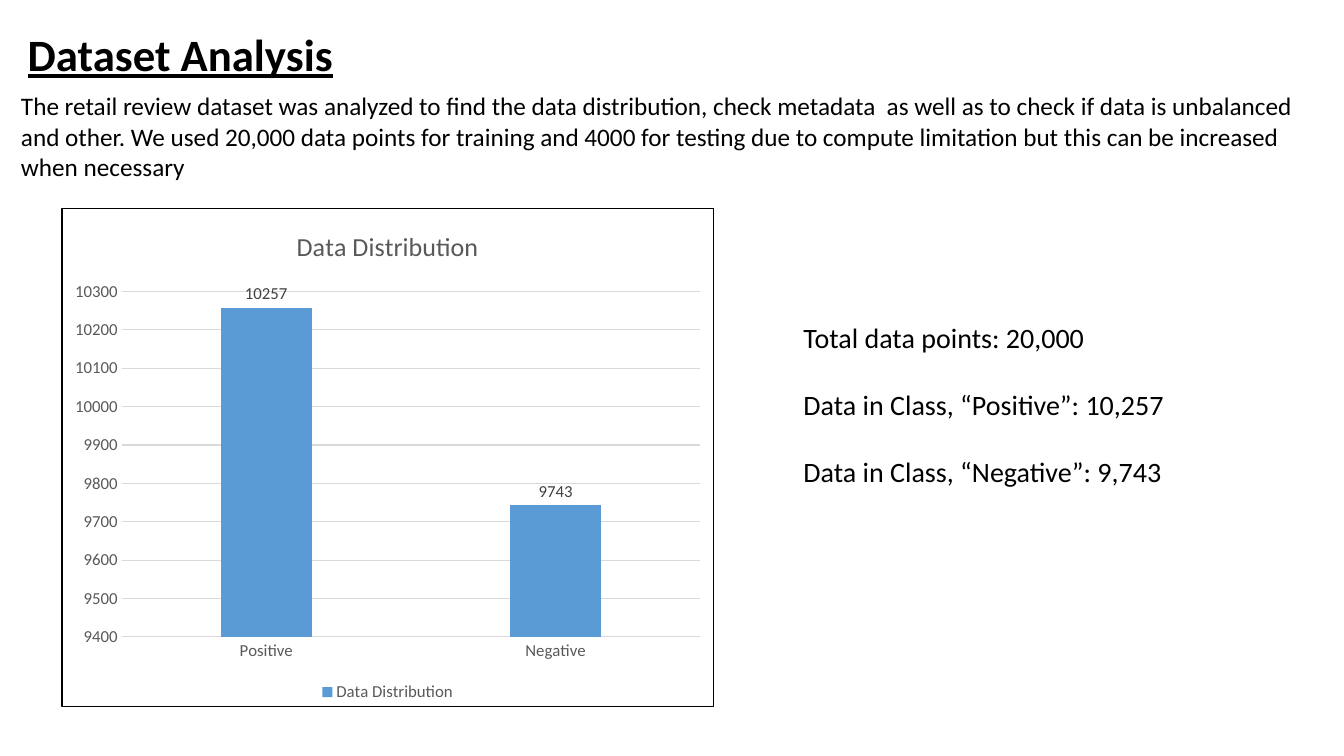
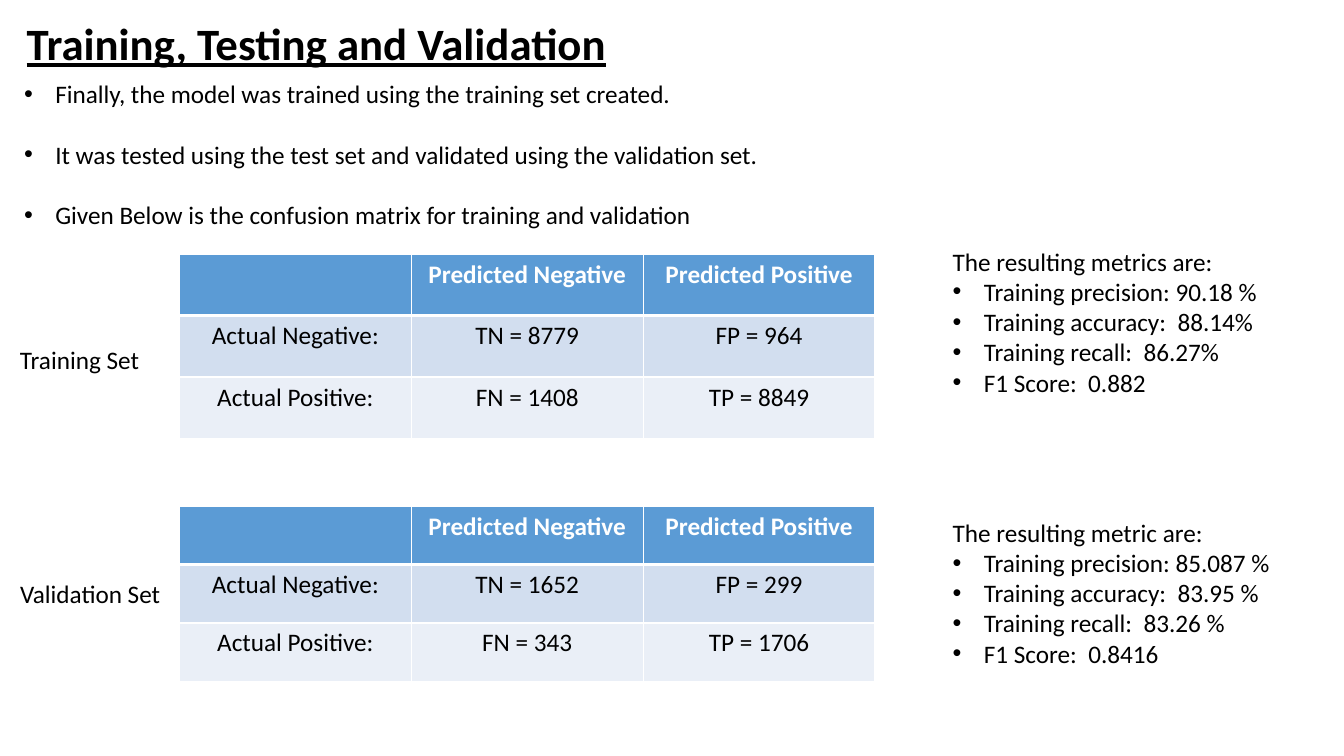
from lxml import etree
from pptx import Presentation
from pptx.chart.data import CategoryChartData
from pptx.dml.color import RGBColor
from pptx.enum.chart import XL_CHART_TYPE, XL_LABEL_POSITION, XL_LEGEND_POSITION, XL_TICK_MARK
from pptx.enum.text import MSO_ANCHOR, PP_ALIGN
from pptx.oxml import parse_xml
from pptx.oxml.ns import nsdecls, qn
from pptx.util import Inches, Pt

BLACK = RGBColor(0x00, 0x00, 0x00)
WHITE = RGBColor(0xFF, 0xFF, 0xFF)
BLUE = RGBColor(0x5B, 0x9B, 0xD5)
BAND_DARK = RGBColor(0xD2, 0xDE, 0xEF)
BAND_LIGHT = RGBColor(0xEA, 0xEF, 0xF7)
GRID_GREY = RGBColor(0xD9, 0xD9, 0xD9)
TEXT_GREY = RGBColor(0x59, 0x59, 0x59)
LABEL_GREY = RGBColor(0x40, 0x40, 0x40)

FONT = "Calibri"
BULLET_INDENT = Inches(0.31)
COLUMN_WIDTH = 2.3

INTRO = (
    "The retail review dataset was analyzed to find the data distribution, check metadata  "
    "as well as to check if data is unbalanced and other. We used 20,000 data points for "
    "training and 4000 for testing due to compute limitation but this can be increased "
    "when necessary"
)
DISTRIBUTION = {"Positive": 10257, "Negative": 9743}
TOTALS = [
    "Total data points: 20,000",
    "Data in Class, “Positive”: 10,257",
    "Data in Class, “Negative”: 9,743",
]
STEPS = [
    "Finally, the model was trained using the training set created.",
    "It was tested using the test set and validated using the validation set.",
    "Given Below is the confusion matrix for training and validation",
]
MATRIX_HEADER = ["", "Predicted Negative", "Predicted Positive"]
EVALUATIONS = [
    {
        "label": "Training Set",
        "label_box": (0.1, 3.37, 1.4, 0.4),
        "matrix": [
            ["Actual Negative:", "TN = 8779", "FP = 964"],
            ["Actual Positive:", "FN = 1408", "TP = 8849"],
        ],
        "matrix_top": 2.52,
        "row_height": 0.61,
        "heading": "The resulting metrics are:",
        "metrics": [
            "Training precision: 90.18 %",
            "Training accuracy:  88.14%",
            "Training recall:  86.27%",
            "F1 Score:  0.882",
        ],
        "metrics_box": (9.35, 2.39, 3.26, 1.62),
    },
    {
        "label": "Validation Set",
        "label_box": (0.1, 5.69, 1.61, 0.4),
        "matrix": [
            ["Actual Negative:", "TN = 1652", "FP = 299"],
            ["Actual Positive:", "FN = 343", "TP = 1706"],
        ],
        "matrix_top": 5.02,
        "row_height": 0.58,
        "heading": "The resulting metric are:",
        "metrics": [
            "Training precision: 85.087 %",
            "Training accuracy:  83.95 %",
            "Training recall:  83.26 %",
            "F1 Score:  0.8416",
        ],
        "metrics_box": (9.35, 5.08, 3.39, 1.62),
    },
]


def style_font(font, size, color=BLACK, **options):
    values = {"name": FONT, "size": Pt(size), "bold": False, **options}
    for name, value in values.items():
        setattr(font, name, value)
    font.color.rgb = color


def add_bullet(paragraph):
    properties = paragraph._p.get_or_add_pPr()
    properties.set("marL", str(BULLET_INDENT))
    properties.set("indent", str(-BULLET_INDENT))
    etree.SubElement(properties, qn("a:buFont")).set("typeface", "Arial")
    etree.SubElement(properties, qn("a:buChar")).set("char", "•")


def add_text(slide, box, lines, size=18, gap=0, bulleted_from=None, wrap=True):
    """Add one paragraph per line; lines from index bulleted_from on get a bullet."""
    frame = slide.shapes.add_textbox(*map(Inches, box)).text_frame
    frame.word_wrap = wrap
    for index, line in enumerate(lines):
        paragraph = frame.paragraphs[0] if index == 0 else frame.add_paragraph()
        if index and gap:
            paragraph.space_before = Pt(gap)
        if bulleted_from is not None and index >= bulleted_from:
            add_bullet(paragraph)
        run = paragraph.add_run()
        run.text = line
        style_font(run.font, size)
    return frame


def add_title(slide, box, title):
    frame = add_text(slide, box, [title], size=32, wrap=False)
    frame.vertical_anchor = MSO_ANCHOR.MIDDLE
    paragraph = frame.paragraphs[0]
    paragraph.alignment = PP_ALIGN.CENTER
    style_font(paragraph.runs[0].font, 32, bold=True, underline=True)


def set_chart_border(chart, color, width):
    border = parse_xml(
        f'<c:spPr {nsdecls("c", "a")}><a:noFill/><a:ln w="{Pt(width)}">'
        f'<a:solidFill><a:srgbClr val="{color}"/></a:solidFill></a:ln></c:spPr>'
    )
    chart._chartSpace.find(qn("c:txPr")).addprevious(border)


def add_distribution_chart(slide, box):
    data = CategoryChartData()
    data.categories = list(DISTRIBUTION)
    data.add_series("Data Distribution", list(DISTRIBUTION.values()))
    chart = slide.shapes.add_chart(
        XL_CHART_TYPE.COLUMN_CLUSTERED, *map(Inches, box), data
    ).chart
    style_font(chart.font, 10)
    set_chart_border(chart, BLACK, 0.75)

    chart.has_title = True
    chart.chart_title.include_in_layout = False
    title = chart.chart_title.text_frame
    title.text = "Data Distribution"
    style_font(title.paragraphs[0].runs[0].font, 18.6, TEXT_GREY)

    chart.has_legend = True
    chart.legend.position = XL_LEGEND_POSITION.BOTTOM
    chart.legend.include_in_layout = False
    style_font(chart.legend.font, 12, TEXT_GREY)

    for axis in (chart.category_axis, chart.value_axis):
        axis.major_tick_mark = XL_TICK_MARK.NONE
        axis.minor_tick_mark = XL_TICK_MARK.NONE
        style_font(axis.tick_labels.font, 12, TEXT_GREY)
    value_axis = chart.value_axis
    value_axis.minimum_scale = 9400
    value_axis.maximum_scale = 10300
    value_axis.major_unit = 100
    value_axis.format.line.fill.background()
    for line in (chart.category_axis.format.line, value_axis.major_gridlines.format.line):
        line.color.rgb = GRID_GREY
        line.width = Pt(0.75)

    plot = chart.plots[0]
    plot.gap_width = 219
    plot.overlap = -27
    plot.vary_by_categories = False
    series = plot.series[0]
    series.format.fill.solid()
    series.format.fill.fore_color.rgb = BLUE
    labels = series.data_labels
    labels.show_value = True
    labels.position = XL_LABEL_POSITION.OUTSIDE_END
    style_font(labels.font, 12, LABEL_GREY)


def set_cell_borders(cell, widths):
    """Draw white borders; widths are points for left, right, top and bottom."""
    properties = cell._tc.get_or_add_tcPr()
    for index, (side, width) in enumerate(zip("LRTB", widths)):
        border = parse_xml(
            f'<a:ln{side} {nsdecls("a")} w="{Pt(width)}"><a:solidFill>'
            f'<a:srgbClr val="{WHITE}"/></a:solidFill></a:ln{side}>'
        )
        properties.insert(index, border)


def add_matrix(slide, top, row_height, body):
    rows = [MATRIX_HEADER, *body]
    columns = len(MATRIX_HEADER)
    table = slide.shapes.add_table(
        len(rows), columns, Inches(1.78), Inches(top),
        Inches(COLUMN_WIDTH * columns), Inches(row_height * len(rows)),
    ).table
    fills = [BLUE, BAND_DARK, BAND_LIGHT]
    for row_index, (row, fill) in enumerate(zip(rows, fills)):
        is_header = row_index == 0
        for column_index, text in enumerate(row):
            cell = table.cell(row_index, column_index)
            cell.fill.solid()
            cell.fill.fore_color.rgb = fill
            set_cell_borders(cell, (1, 1, 3 if row_index == 1 else 1, 3 if is_header else 1))
            paragraph = cell.text_frame.paragraphs[0]
            paragraph.alignment = PP_ALIGN.CENTER
            if text:
                run = paragraph.add_run()
                run.text = text
                style_font(run.font, 18, WHITE if is_header else BLACK, bold=is_header)


def build_dataset_slide(slide):
    add_title(slide, (0.11, 0.21, 3.36, 0.64), "Dataset Analysis")
    add_distribution_chart(slide, (0.61, 2.06, 6.47, 4.95))
    add_text(slide, (0.11, 0.85, 13.11, 1.01), [INTRO])
    add_text(slide, (7.87, 3.13, 4.1, 1.78), TOTALS, size=20, gap=24)


def build_validation_slide(slide):
    add_title(slide, (0.14, 0.1, 6, 0.64), "Training, Testing and Validation")
    add_text(slide, (0.14, 0.73, 13.19, 1.92), STEPS, gap=21.6, bulleted_from=0)
    for evaluation in EVALUATIONS:
        add_matrix(
            slide, evaluation["matrix_top"], evaluation["row_height"], evaluation["matrix"]
        )
        add_text(slide, evaluation["label_box"], [evaluation["label"]], wrap=False)
        lines = [evaluation["heading"], *evaluation["metrics"]]
        add_text(slide, evaluation["metrics_box"], lines, bulleted_from=1, wrap=False)


def main():
    presentation = Presentation()
    presentation.slide_width = Inches(13.33)
    presentation.slide_height = Inches(7.5)
    blank_layout = presentation.slide_layouts[6]
    for build_slide in (build_dataset_slide, build_validation_slide):
        build_slide(presentation.slides.add_slide(blank_layout))
    presentation.save("out.pptx")


if __name__ == "__main__":
    main()
